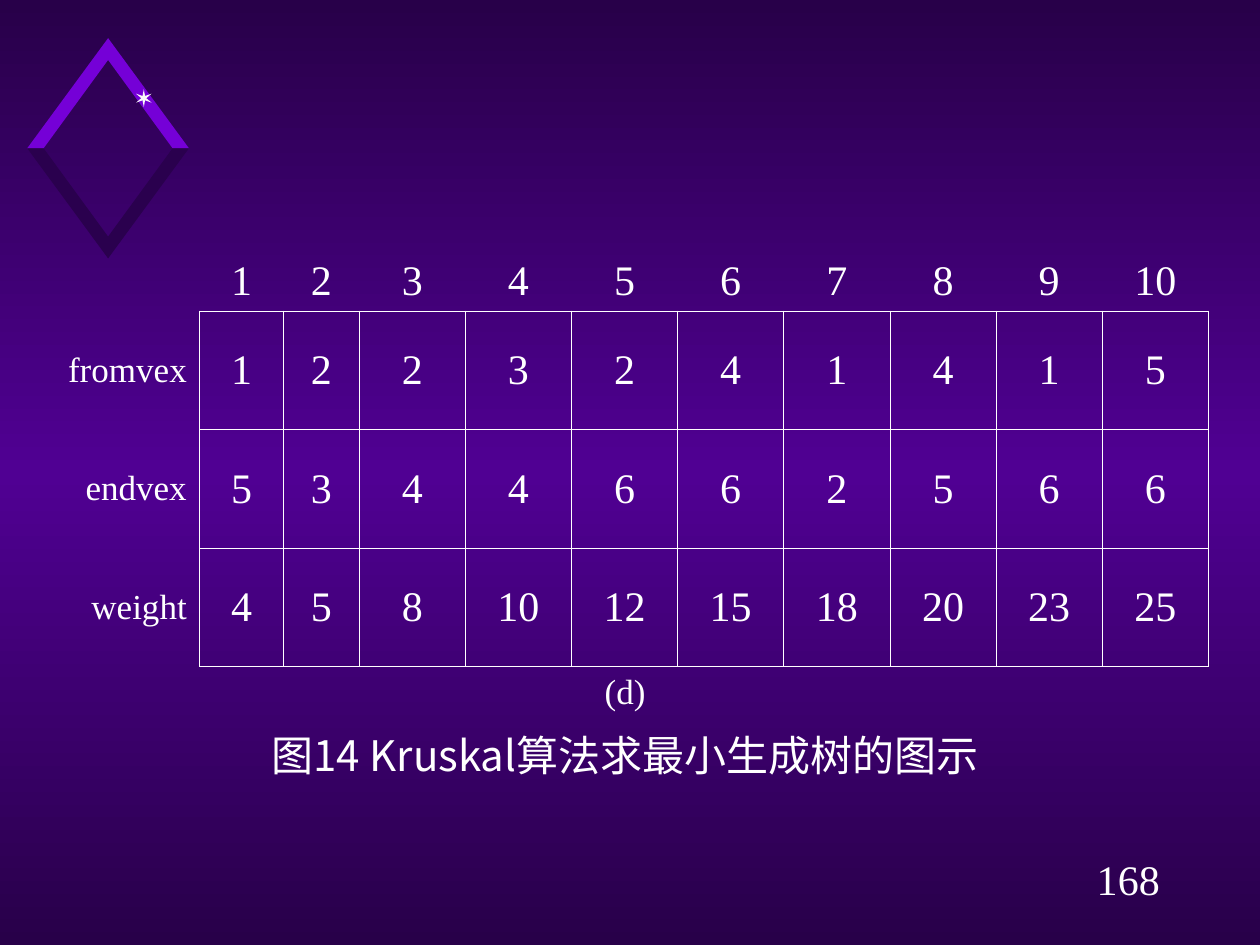
import math
from copy import deepcopy

from lxml import etree
from pptx import Presentation
from pptx import util as u
from pptx.dml.color import RGBColor
from pptx.enum import text
from pptx.oxml.ns import qn

# Content
EDGES = {
    "": [str(number) for number in range(1, 11)],
    "fromvex": "1 2 2 3 2 4 1 4 1 5".split(),
    "endvex": "5 3 4 4 6 6 2 5 6 6".split(),
    "weight": "4 5 8 10 12 15 18 20 23 25".split(),
}
FIGURE_PART = "(d)"
CAPTION = "图14 Kruskal算法求最小生成树的图示"
PAGE_NUMBER = "168"

# Look
WHITE = RGBColor(0xFF, 0xFF, 0xFF)
STAR_WHITE = RGBColor(0xF9, 0xF9, 0xF9)
DARK = RGBColor(0x28, 0x00, 0x49)
MIDDLE = RGBColor(0x50, 0x00, 0x93)
BRIGHT = RGBColor(0x75, 0x00, 0xD7)
SHADE = RGBColor(0x2A, 0x00, 0x4E)
LATIN, CHINESE = "Times New Roman", "Noto Sans CJK SC"
NO_GRID_STYLE = "{2D5ABB26-0587-4C30-8999-92F81FD0307C}"
VALUE = {"name": LATIN, "size": u.Pt(24)}
LABEL = {"name": LATIN, "size": u.Pt(20)}
CHINESE_TEXT = {"name": CHINESE, "size": u.Pt(24)}

# Lengths in cm
COLUMNS = [3.18, 1.7, 1.52] + [2.14] * 8
ROWS = [2.39] * 4 + [2.44]
CENTER_X, CENTER_Y = 2.18, 2.99
OUTER, INNER = (1.63, 2.22), (1.3, 1.78)


def write(paragraph, words, look, alignment=text.PP_ALIGN.CENTER):
    paragraph.alignment = alignment
    run = paragraph.add_run()
    run.text = words
    for name, value in look.items():
        setattr(run.font, name, value)
    run.font.color.rgb = WHITE
    if look["name"] == CHINESE:
        properties = run.font._element
        etree.SubElement(properties, qn("a:ea"), typeface=CHINESE)


def add_outline(shapes, points, color):
    points = [(u.Cm(x), u.Cm(y)) for x, y in points]
    builder = shapes.build_freeform(*points[0], scale=1.0)
    builder.add_line_segments(points[1:], close=True)
    shape = builder.convert_to_shape()
    shape.shadow.inherit = False
    shape.fill.solid()
    shape.fill.fore_color.rgb = color
    shape.line.fill.background()


def add_borders(cell, sides):
    properties = cell._tc.get_or_add_tcPr()
    for side in sides:
        line = etree.SubElement(properties, qn(f"a:ln{side}"), w=str(u.Pt(0.45)))
        fill = etree.SubElement(line, qn("a:solidFill"))
        etree.SubElement(fill, qn("a:srgbClr"), val=str(WHITE))


presentation = Presentation()
presentation.slide_width, presentation.slide_height = u.Cm(25.4), u.Cm(19.05)
slide = presentation.slides.add_slide(presentation.slide_layouts[6])

# Background gradient with three stops
background = slide.background.fill
background.gradient()
background.gradient_angle = 270
stop_list = slide.element.find(".//" + qn("a:gsLst"))
stop_list.append(deepcopy(stop_list[0]))
for stop, position, color in zip(background.gradient_stops, (0, 0.5, 1), (DARK, MIDDLE, DARK)):
    stop.position = position
    stop.color.rgb = color

# Diamond of four bands, with a sparkle
diamond = slide.shapes.add_group_shape().shapes
for vertical, color in ((-1, BRIGHT), (1, SHADE)):
    for horizontal in (1, -1):
        band = [(0, INNER[1]), (0, OUTER[1]), (OUTER[0], 0), (INNER[0], 0)]
        add_outline(diamond, [(CENTER_X + horizontal * x, CENTER_Y + vertical * y)
                              for x, y in band], color)
star = []
for corner in range(12):
    radius = 0.05 if corner % 2 else 0.18
    angle = math.radians(30 * corner - 90)
    star.append((2.9 + radius * math.cos(angle), 1.98 + radius * math.sin(angle)))
add_outline(diamond, star, STAR_WHITE)

# Page number
number_box = slide.shapes.add_textbox(u.Cm(21.79), u.Cm(17.09), u.Cm(1.91), u.Cm(1.27))
number_box.text_frame.word_wrap = True
write(number_box.text_frame.paragraphs[0], PAGE_NUMBER, VALUE)

# Edge table
frame = slide.shapes.add_table(len(ROWS), len(COLUMNS), u.Cm(0.84), u.Cm(3.88),
                               u.Cm(sum(COLUMNS)), u.Cm(sum(ROWS)))
table = frame.table
table.first_row = table.horz_banding = False
frame._element.find(".//" + qn("a:tableStyleId")).text = NO_GRID_STYLE
for column, width in zip(table.columns, COLUMNS):
    column.width = u.Cm(width)
for row, height in zip(table.rows, ROWS):
    row.height = u.Cm(height)

for row, (label, values) in enumerate(EDGES.items()):
    for column, words in enumerate([label] + values):
        cell = table.cell(row, column)
        paragraph = cell.text_frame.paragraphs[0]
        cell.vertical_anchor = text.MSO_ANCHOR.MIDDLE if row else text.MSO_ANCHOR.BOTTOM
        if column:
            write(paragraph, words, VALUE)
            add_borders(cell, "B" if row == 0 else "LRT" if label == "weight" else "LRTB")
        elif label:
            write(paragraph, words, LABEL, text.PP_ALIGN.RIGHT)
            add_borders(cell, "R")
        cell.fill.background()

# Caption across the last row
caption = table.cell(len(EDGES), 0)
caption.merge(table.cell(len(EDGES), len(COLUMNS) - 1))
caption.vertical_anchor = text.MSO_ANCHOR.MIDDLE
caption.fill.background()
write(caption.text_frame.paragraphs[0], FIGURE_PART, LABEL)
title = caption.text_frame.add_paragraph()
title.space_before = u.Pt(6)
write(title, CAPTION, CHINESE_TEXT)

presentation.save("out.pptx")
